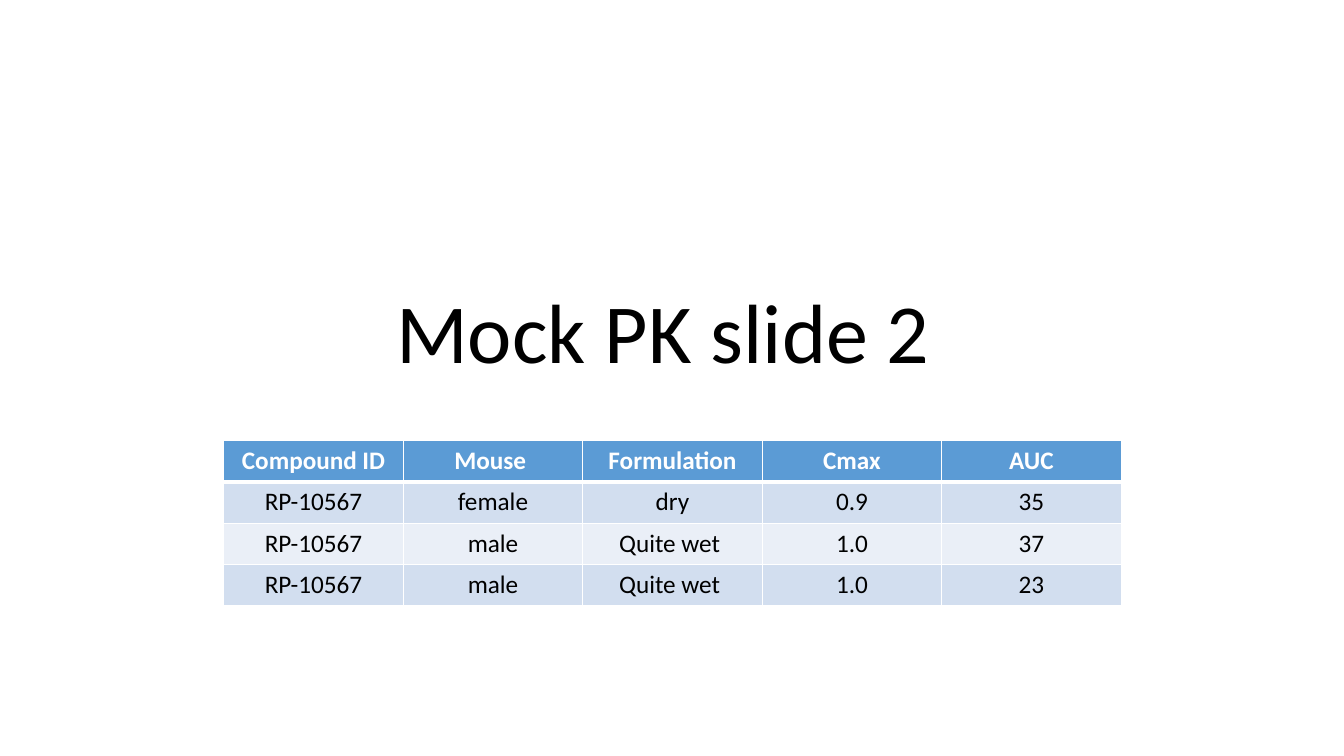
from lxml.etree import SubElement
from pptx import Presentation
from pptx.dml.color import RGBColor
from pptx.enum.text import MSO_ANCHOR, MSO_AUTO_SIZE, PP_ALIGN
from pptx.oxml.ns import qn
from pptx.util import Pt

EMU_PER_PX = 9144
FONT = "Calibri"
WHITE, BLACK = "FFFFFF", "000000"
HEADER_FILL = "5B9BD5"
BAND_FILLS = ("D2DEEF", "EAEFF7")
COLUMN_WIDTH, ROW_HEIGHT = 178, 41
RESULTS = [
    ("Compound ID", "Mouse ", "Formulation", "Cmax", "AUC"),
    ("RP-10567", "female", "dry", "0.9", "35"),
    ("RP-10567", "male", "Quite wet ", "1.0", "37"),
    ("RP-10567", "male", "Quite wet ", "1.0", "23"),
]


def px(length):
    """Turn whole px into EMU."""
    return length * EMU_PER_PX


def color(value):
    """Turn a hex string into a colour."""
    return RGBColor.from_string(value)


def add_text(frame, text, size, ink, bold=False):
    """Write one centred run into the first paragraph of a frame."""
    paragraph = frame.paragraphs[0]
    paragraph.alignment = PP_ALIGN.CENTER
    run = paragraph.add_run()
    run.text = text
    run.font.name = FONT
    run.font.size = Pt(size)
    run.font.bold = bold
    run.font.color.rgb = color(ink)
    return paragraph


def add_title(slide, text, left, top, width, height):
    """Place and fill the title placeholder."""
    title = slide.shapes.title
    title.left, title.top = px(left), px(top)
    title.width, title.height = px(width), px(height)
    frame = title.text_frame
    frame.word_wrap = True
    frame.auto_size = MSO_AUTO_SIZE.NONE
    frame.vertical_anchor = MSO_ANCHOR.BOTTOM
    add_text(frame, text, 60, BLACK).line_spacing = 0.9


def set_borders(cell, top, bottom):
    """Give a cell white borders, with top and bottom widths in points."""
    properties = cell._tc.get_or_add_tcPr()
    widths = {"a:lnL": 1, "a:lnR": 1, "a:lnT": top, "a:lnB": bottom}
    for index, (side, width) in enumerate(widths.items()):
        border = SubElement(properties, qn(side), w=str(Pt(width)))
        fill = SubElement(border, qn("a:solidFill"))
        SubElement(fill, qn("a:srgbClr"), val=WHITE)
        properties.insert(index, border)


def add_results(slide, rows, left, top):
    """Add the banded table of results under a coloured header."""
    columns = len(rows[0])
    table = slide.shapes.add_table(
        len(rows), columns, px(left), px(top),
        px(COLUMN_WIDTH * columns), px(ROW_HEIGHT * len(rows))).table
    for r, values in enumerate(rows):
        header = r == 0
        for c, value in enumerate(values):
            cell = table.cell(r, c)
            cell.fill.solid()
            cell.fill.fore_color.rgb = color(
                HEADER_FILL if header else BAND_FILLS[(r - 1) % 2])
            set_borders(cell, 3 if r == 1 else 1, 3 if header else 1)
            add_text(cell.text_frame, value, 18,
                     WHITE if header else BLACK, header)


def main():
    """Build and save the slide."""
    presentation = Presentation()
    presentation.slide_width, presentation.slide_height = px(1333), px(750)
    slide = presentation.slides.add_slide(presentation.slide_layouts[5])
    add_title(slide, "Mock PK slide 2 ", 167, 123, 1000, 261)
    add_results(slide, RESULTS, 222, 437)
    presentation.save("out.pptx")


if __name__ == "__main__":
    main()
